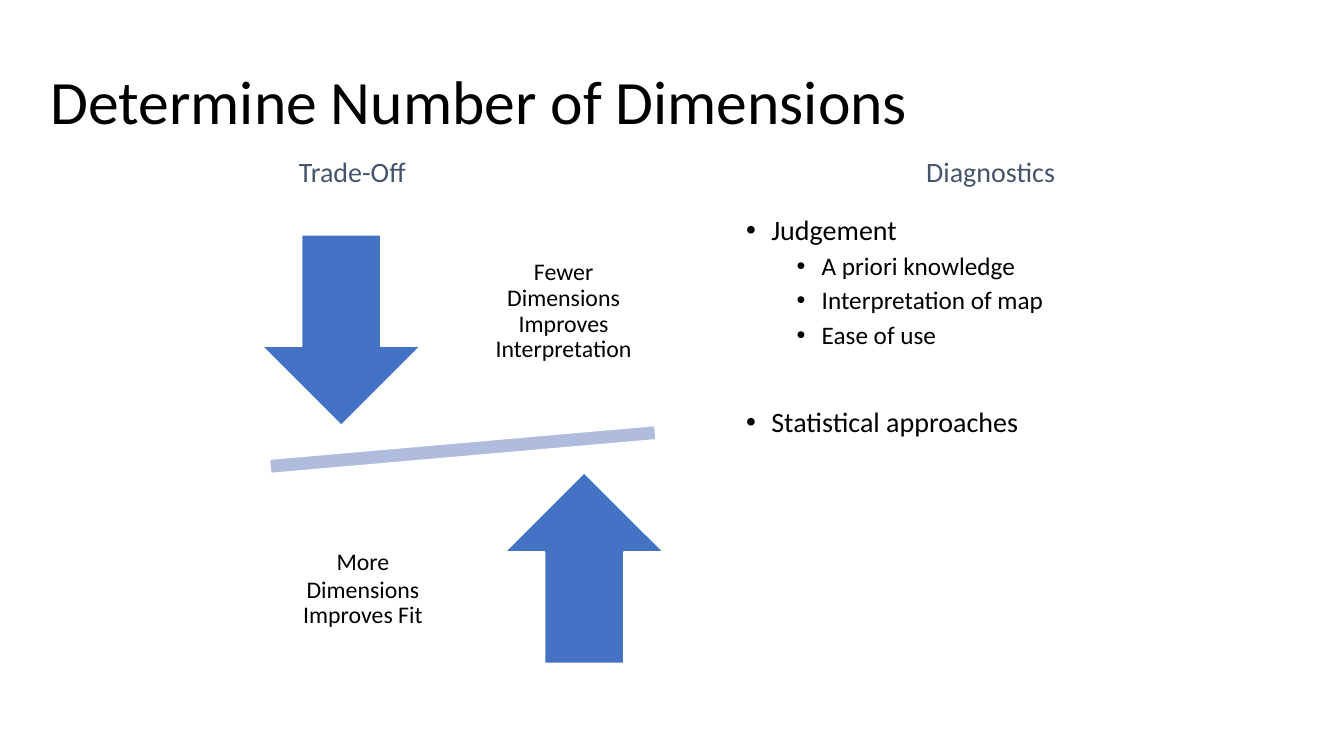
from pptx import Presentation
from pptx.dml.color import RGBColor
from pptx.enum import shapes, text
from pptx.oxml import ns, xmlchemy as xml
from pptx.util import Inches, Pt

LEFT, MID = text.PP_ALIGN.LEFT, text.PP_ALIGN.CENTER
BASE, CORE = text.MSO_ANCHOR.BOTTOM, text.MSO_ANCHOR.MIDDLE
TOP = text.MSO_ANCHOR.TOP
KIND = shapes.MSO_SHAPE


def tint(code):
    return RGBColor.from_string(code)


class Deck:
    font, ink, muted = "Calibri", "000000", "44546A"
    blue, pale, white = "4472C4", "B0BCDE", "FFFFFF"

    def __init__(self):
        self.prs = Presentation()
        self.prs.slide_width = Inches(13.33)
        self.prs.slide_height = Inches(7.5)
        self.slide = self.prs.slides.add_slide(self.prs.slide_layouts[4])

    def style(self, para, size, color, align, gap=0, line=0.9):
        para.alignment = align
        para.line_spacing = line
        para.space_before = Pt(gap)
        font = para.font
        font.name, font.size, font.bold = self.font, Pt(size), False
        font.color.rgb = tint(color)

    def place(self, idx, box, anchor):
        """Move a placeholder and return its text frame."""
        item = self.slide.placeholders[idx]
        item.left, item.top, item.width, item.height = map(Inches, box)
        frame = item.text_frame
        frame.word_wrap = True
        frame.auto_size = text.MSO_AUTO_SIZE.NONE
        frame.vertical_anchor = anchor
        return frame

    def head(self, idx, box, words, size, color, align, anchor):
        frame = self.place(idx, box, anchor)
        frame.text = words
        self.style(frame.paragraphs[0], size, color, align)

    def items(self, idx, box, rows):
        """Fill a bulleted list from (words, level, gap) rows."""
        frame = self.place(idx, box, TOP)
        frame.text = "\n".join(row[0] for row in rows)
        for para, (_, level, gap) in zip(frame.paragraphs, rows):
            para.level = level
            props = para._p.get_or_add_pPr()
            props.set("marL", str(Inches(0.25 + 0.5 * level)))
            props.set("indent", str(Inches(-0.25)))
            face = xml.OxmlElement("a:buFont")
            face.set("typeface", "Arial")
            dot = xml.OxmlElement("a:buChar")
            dot.set("char", "•")
            props.extend([face, dot])
            self.style(para, 20 - 2 * level, self.ink, LEFT, gap)

    def shape(self, kind, box, fill, turn=0):
        item = self.slide.shapes.add_shape(kind, *map(Inches, box))
        item.shadow.inherit = False
        item.fill.solid()
        item.fill.fore_color.rgb = tint(fill)
        item.line.color.rgb = tint(self.white)
        item.line.width = Pt(1)
        item.rotation = turn

    def label(self, box, rows):
        """Add a centred text box from (words, line spacing) rows."""
        frame = self.slide.shapes.add_textbox(*map(Inches, box)).text_frame
        frame.word_wrap = True
        frame.vertical_anchor = CORE
        frame.margin_left = frame.margin_right = Inches(0.13)
        frame.margin_top = frame.margin_bottom = Inches(0.13)
        frame.text = "\n".join(row[0] for row in rows)
        for para, (_, line) in zip(frame.paragraphs, rows):
            self.style(para, 17, self.ink, MID, line=line)

    def drop(self, *ids):
        """Remove unused placeholders."""
        for item in list(self.slide.placeholders):
            if item.placeholder_format.idx in ids:
                item.element.getparent().remove(item.element)


def main():
    deck = Deck()
    deck.drop(2, 10, 11, 12)
    deck.head(0, (0.4, 0.25, 12.53, 1.17), "Determine Number of Dimensions",
              44, deck.ink, LEFT, BASE)
    for idx, left, words in ((1, 0.4, "Trade-Off"), (3, 6.73, "Diagnostics")):
        deck.head(idx, (left, 1.47, 6.19, 0.51), words,
                  20, deck.muted, MID, CORE)

    deck.shape(KIND.MATH_MINUS, (1.98, 4.16, 5.22, 0.6), deck.pale, 355)
    deck.shape(KIND.DOWN_ARROW, (2.6, 2.33, 1.57, 1.89), deck.blue)
    deck.label((4.75, 2.1, 1.68, 1.98),
               [("Fewer Dimensions Improves Interpretation", 0.9)])
    deck.shape(KIND.UP_ARROW, (5.01, 4.69, 1.57, 1.89), deck.blue)
    deck.label((2.76, 4.84, 1.68, 1.98),
               [("More Dimensions", 1.0), ("Improves Fit", 0.9)])

    deck.items(4, (7.3, 2.1, 4.07, 4.72), [
        ("Judgement", 0, 0),
        ("A priori knowledge", 1, 5),
        ("Interpretation of map", 1, 5),
        ("Ease of use", 1, 5),
        ("Statistical approaches", 0, 42),
    ])
    deck.prs.save("out.pptx")


if __name__ == "__main__":
    main()
